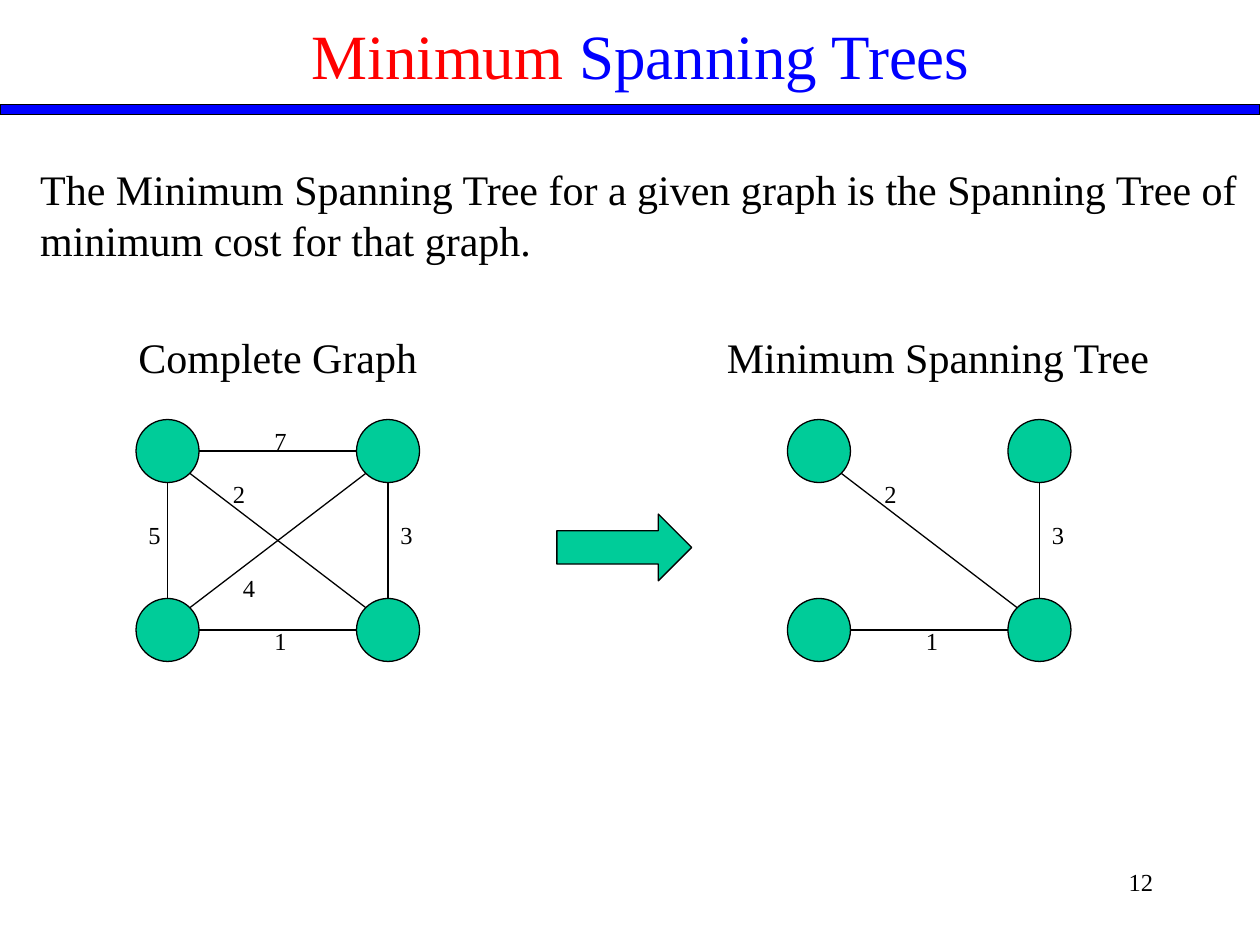
from math import copysign, sqrt
from typing import NamedTuple

from lxml.etree import SubElement
from pptx import Presentation
from pptx.dml.color import RGBColor
from pptx.enum.shapes import MSO_CONNECTOR as Connector, MSO_SHAPE as Shape
from pptx.enum.text import MSO_AUTO_SIZE as AutoSize, PP_ALIGN as Align
from pptx.oxml.ns import qn
from pptx.slide import Slide
from pptx.util import Inches, Pt

BLACK = RGBColor(0x00, 0x00, 0x00)
WHITE = RGBColor(0xFF, 0xFF, 0xFF)
RED = RGBColor(0xFF, 0x00, 0x00)
BLUE = RGBColor(0x00, 0x00, 0xFF)
GREEN = RGBColor(0x00, 0xCC, 0x99)
FONT = "Times New Roman"
OUTLINE = Pt(0.75)

RADIUS = 0.25
COLUMN_GAP, ROW_GAP = 1.75, 1.42
GRAPH_TOP = 3.33


class Box(NamedTuple):
    left: float
    top: float
    width: float
    height: float


class Run(NamedTuple):
    text: str
    color: RGBColor = BLACK


class Node(NamedTuple):
    column: int
    row: int


class Edge(NamedTuple):
    """A weighted edge; the label offset is from the graph's top left."""
    start: Node
    end: Node
    weight: int
    label_x: float
    label_y: float


class Graph(NamedTuple):
    left: float
    caption: str
    caption_box: Box
    edges: list[Edge]


TOP_LEFT, TOP_RIGHT = Node(0, 0), Node(1, 0)
BOTTOM_LEFT, BOTTOM_RIGHT = Node(0, 1), Node(1, 1)
NODES = [TOP_LEFT, TOP_RIGHT, BOTTOM_LEFT, BOTTOM_RIGHT]

TREE_EDGES = [
    Edge(BOTTOM_LEFT, BOTTOM_RIGHT, 1, 1, 1.59),
    Edge(TOP_RIGHT, BOTTOM_RIGHT, 3, 2, 0.75),
    Edge(TOP_LEFT, BOTTOM_RIGHT, 2, 0.67, 0.42),
]
OTHER_EDGES = [
    Edge(TOP_LEFT, TOP_RIGHT, 7, 1, 0),
    Edge(TOP_LEFT, BOTTOM_LEFT, 5, 0, 0.75),
    Edge(TOP_RIGHT, BOTTOM_LEFT, 4, 0.75, 1.17),
]
GRAPHS = [
    Graph(1.08, "Complete Graph", Box(1, 2.58, 2.41, 0.5), OTHER_EDGES + TREE_EDGES),
    Graph(6.25, "Minimum Spanning Tree", Box(5.67, 2.58, 3.57, 0.5), TREE_EDGES),
]


def add_text(slide: Slide, box: Box, runs: list[Run], size: int, wrap: bool = True,
             align: Align = Align.LEFT, grow: bool = True) -> None:
    frame = slide.shapes.add_textbox(*map(Inches, box)).text_frame
    frame.word_wrap = wrap
    frame.auto_size = AutoSize.SHAPE_TO_FIT_TEXT if grow else AutoSize.NONE
    paragraph = frame.paragraphs[0]
    paragraph.alignment = align
    for text, color in runs:
        run = paragraph.add_run()
        run.text = text
        run.font.name = FONT
        run.font.size = Pt(size)
        run.font.color.rgb = color


def add_filled(slide: Slide, kind: Shape, box: Box, color: RGBColor) -> None:
    shape = slide.shapes.add_shape(kind, *map(Inches, box))
    shape.shadow.inherit = False
    shape.fill.solid()
    shape.fill.fore_color.rgb = color
    shape.line.color.rgb = BLACK
    shape.line.width = OUTLINE


def rim_point(graph: Graph, node: Node, toward: Node) -> tuple[float, float]:
    """Point on a node's circle, in one of eight directions, facing another node."""
    steps = toward.column - node.column, toward.row - node.row
    reach = RADIUS / sqrt(sum(map(abs, steps)))
    shift_x, shift_y = (copysign(reach, step) if step else 0 for step in steps)
    return (graph.left + RADIUS + node.column * COLUMN_GAP + shift_x,
            GRAPH_TOP + RADIUS + node.row * ROW_GAP + shift_y)


def add_edge(slide: Slide, graph: Graph, edge: Edge) -> None:
    ends = (*rim_point(graph, edge.start, edge.end),
            *rim_point(graph, edge.end, edge.start))
    line = slide.shapes.add_connector(Connector.STRAIGHT, *map(Inches, ends))
    line.line.color.rgb = BLACK
    line.line.width = OUTLINE
    SubElement(line._element.spPr, qn("a:effectLst"))
    label = Box(graph.left + edge.label_x, GRAPH_TOP + edge.label_y, 0.3, 0.33)
    add_text(slide, label, [Run(str(edge.weight))], 14, wrap=False)


def add_graph(slide: Slide, graph: Graph) -> None:
    for node in NODES:
        circle = Box(graph.left + node.column * COLUMN_GAP,
                     GRAPH_TOP + node.row * ROW_GAP, 2 * RADIUS, 2 * RADIUS)
        add_filled(slide, Shape.OVAL, circle, GREEN)
    for edge in graph.edges:
        add_edge(slide, graph, edge)
    add_text(slide, graph.caption_box, [Run(graph.caption)], 24, wrap=False)


def main() -> None:
    deck = Presentation()
    deck.slide_width, deck.slide_height = Inches(10), Inches(7.5)
    slide = deck.slides.add_slide(deck.slide_layouts[6])
    slide.background.fill.solid()
    slide.background.fill.fore_color.rgb = WHITE

    add_filled(slide, Shape.RECTANGLE, Box(0, 0.83, 10, 0.08), BLUE)
    add_text(slide, Box(2.17, 0.08, 5.83, 0.7),
             [Run("Minimum", RED), Run(" Spanning Trees", BLUE)], 36, align=Align.CENTER)
    add_text(slide, Box(0.22, 1.25, 9.78, 0.9),
             [Run("The Minimum Spanning Tree for a given graph is the Spanning Tree "
                  "of minimum cost for that graph.")], 24)
    for graph in GRAPHS:
        add_graph(slide, graph)
    add_filled(slide, Shape.RIGHT_ARROW, Box(4.42, 4.08, 1.07, 0.53), GREEN)
    add_text(slide, Box(7.17, 6.83, 2.08, 0.5), [Run("12")], 14,
             align=Align.RIGHT, grow=False)
    deck.save("out.pptx")


if __name__ == "__main__":
    main()
